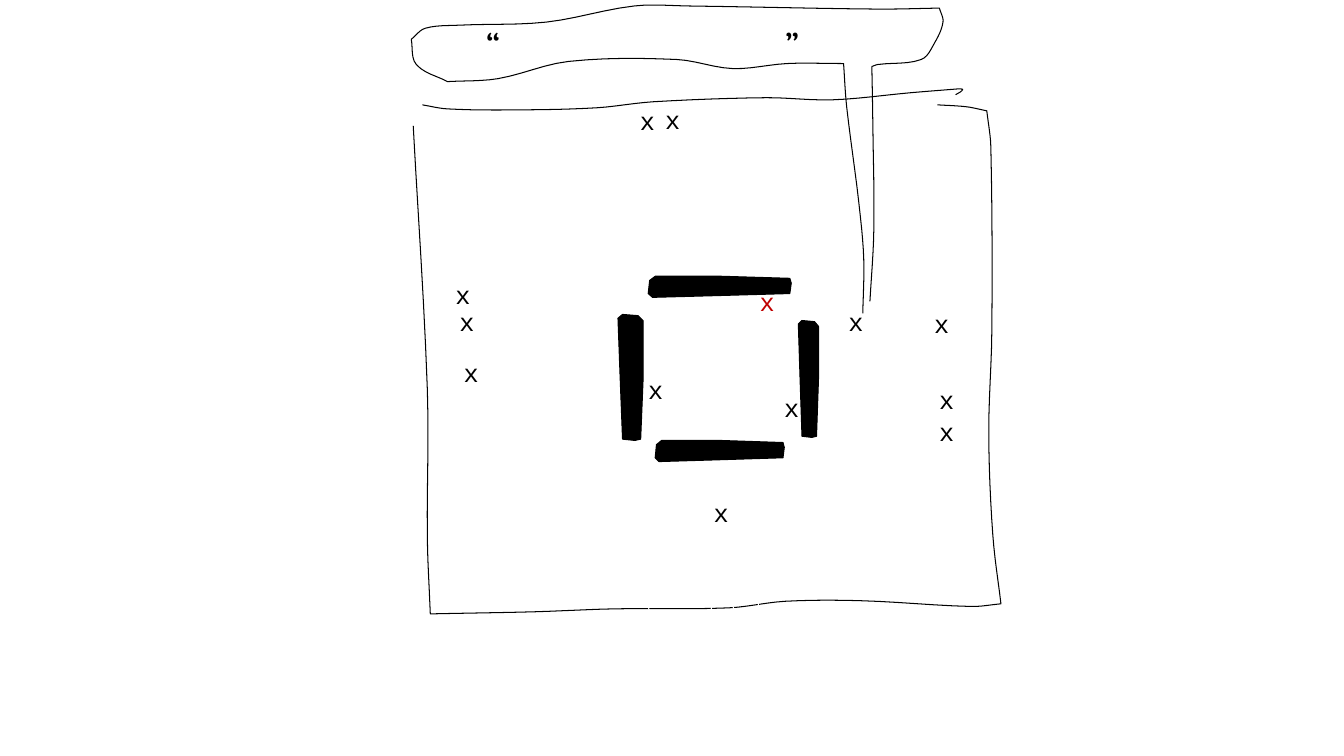
from dataclasses import dataclass
from itertools import chain, cycle
from math import dist

from lxml.etree import SubElement
from pptx import Presentation
from pptx.dml.color import RGBColor
from pptx.enum.text import MSO_AUTO_SIZE
from pptx.oxml.ns import qn
from pptx.util import Pt


@dataclass(frozen=True)
class Theme:
    ink: RGBColor = RGBColor(0x00, 0x00, 0x00)
    paper: RGBColor = RGBColor(0xFF, 0xFF, 0xFF)
    accent: RGBColor = RGBColor(0xC0, 0x00, 0x00)
    mark_font: str = "Courier New"
    quote_font: str = "Cambria"
    mark_size: float = 18
    quote_size: float = 28
    line_width: float = 0.75


THEME = Theme()
STEPS_PER_BEND = 6

# Hand-drawn strokes: a few knots in points, which smooth() joins by a curve.
# Where one stroke of a drawing ends and the next begins, there is a corner.
CEILING = {
    "hook": [(682.6, 67.7), (687.6, 64.1), (685.4, 63.4)],
    "edge": [(685.4, 63.4), (650.9, 66.2), (594.7, 71.3), (547.2, 69.8),
             (466.6, 72.7), (426.2, 77), (370.1, 78.5), (319.7, 77.8),
             (301.7, 74.9)],
}
ROOM = {
    "left wall": [(295.2, 90), (305.3, 278.6), (305.3, 384.5), (307.4, 438.5)],
    "floor": [(307.4, 438.5), (381.6, 437), (439.2, 434.9), (520.6, 434.2),
              (560.9, 429.5), (614.9, 429.1), (694, 433.2), (715, 431.3)],
    "right wall": [(715, 431.3), (709.2, 382.3), (706.3, 309.6),
                   (708.5, 236.2), (707.8, 105.1), (704.9, 79.2)],
    "top corner": [(704.9, 79.2), (690.5, 76.3), (669.6, 74.9)],
}
SPEECH_BUBBLE = {
    "tail, right": [(621.4, 215.3), (624.2, 164.2), (623.5, 89.3), (622.8, 47.5)],
    "right end": [(622.8, 47.5), (627.1, 46.1), (658.1, 42.5), (667.4, 31),
                  (673.6, 15.8), (671, 5.8)],
    "top": [(671, 5.8), (627.1, 6.5), (492.5, 4.3), (452.9, 4.3), (390.2, 15.8),
            (328.3, 18), (303.8, 20.2), (293.8, 28.1)],
    "left end": [(293.8, 28.1), (297.4, 46.1), (319.7, 58.3)],
    "bottom": [(319.7, 58.3), (355.7, 56.2), (406.1, 43.9), (483.1, 42.5),
               (523.4, 49), (562.3, 45.4), (602.6, 45.4)],
    "tail, left": [(602.6, 45.4), (604.8, 76.3), (613.4, 144), (617, 185),
                   (616.3, 223.9)],
}

# Tapered bar, in shares of its length and thickness
BAR_PROFILE = [(0.05, 0), (0.5, 0), (0.99, 0.1), (1, 0.33), (0.99, 0.82),
               (0.47, 0.92), (0.03, 1), (0, 0.82), (0.01, 0.2)]

# Each bar: left, top, length, thickness, rotation
BARS = {
    "top": (463, 197.3, 102.2, 15.1, 0),
    "bottom": (468, 314.6, 92.2, 15.1, 0),
    "right": (535.7, 263.5, 83.5, 14.4, 90),
    "left": (405.4, 260.6, 90, 18, 90),
}

# Left and top of each mark, by its place in the room
MARKS = {
    "ceiling": [(450, 72), (468, 71.3)],
    "left wall": [(318.2, 195.8), (321.1, 215.3), (324, 252)],
    "right wall": [(660.2, 216.7), (663.8, 270.7), (663.8, 293.8)],
    "inside the bars": [(455.8, 264.2), (553, 276.5)],
    "outside the bars": [(599, 215.3), (502.6, 351.4)],
}
ACCENT_MARK = (535.5, 200.9)
MARK_BOX = (35.3, 28.8)

# Eraser passes: where they cut the floor, how far they reach and lean
FLOOR_GAPS = [463, 508.6, 523.6, 541.4]
ERASER_TOP, ERASER_BOTTOM, ERASER_LEAN = 408.2, 457.9, 7

QUOTE_BOX = (339.8, 10.8, 324, 41)
CLOSING_QUOTE_TAB = 213.8


def set_values(target, values):
    for name, value in values.items():
        setattr(target, name, value)


def smooth(knots):
    """Join the knots by Hermite curves whose pull equals the knot distance."""
    directions = []
    for before, after in zip(knots[:1] + knots, knots[1:] + knots[-1:]):
        span = dist(before, after)
        directions.append([(b - a) / span for a, b in zip(before, after)])
    points = [knots[0]]
    for index, (start, end) in enumerate(zip(knots, knots[1:])):
        pull = dist(start, end)
        for step in range(1, STEPS_PER_BEND + 1):
            t = step / STEPS_PER_BEND
            blend = t * t * (3 - 2 * t)
            leave, arrive = pull * t * (1 - t) ** 2, pull * t * t * (t - 1)
            points.append(tuple(
                a + (b - a) * blend + leave * out + arrive * into
                for a, b, out, into in zip(
                    start, end, directions[index], directions[index + 1])))
    return points


def eraser_passes():
    """Sweep down and up in turn, leaning across each gap."""
    sweeps = cycle([(ERASER_TOP, ERASER_BOTTOM), (ERASER_BOTTOM, ERASER_TOP)])
    return [
        point
        for gap, (enter, leave) in zip(FLOOR_GAPS, sweeps)
        for point in ((gap - ERASER_LEAN, enter), (gap + ERASER_LEAN, leave))
    ]


def add_outline(slide, points, line, fill=None, close=False):
    start, *rest = [(Pt(x), Pt(y)) for x, y in points]
    builder = slide.shapes.build_freeform(*start)
    builder.add_line_segments(rest, close=close)
    shape = builder.convert_to_shape()
    shape.shadow.inherit = False
    shape.line.color.rgb = line
    shape.line.width = Pt(THEME.line_width)
    if fill is None:
        shape.fill.background()
    else:
        shape.fill.solid()
        shape.fill.fore_color.rgb = fill
    return shape


def add_drawing(slide, strokes, fill=None):
    points = list(chain.from_iterable(map(smooth, strokes.values())))
    add_outline(slide, points, THEME.ink, fill)


def add_bar(slide, left, top, length, thickness, rotation):
    points = [(left + x * length, top + y * thickness) for x, y in BAR_PROFILE]
    bar = add_outline(slide, points, THEME.ink, THEME.ink, close=True)
    bar.rotation = rotation


def add_text(slide, text, place, font, size, color):
    box = slide.shapes.add_textbox(*map(Pt, place))
    set_values(box.text_frame, {
        "word_wrap": True, "auto_size": MSO_AUTO_SIZE.SHAPE_TO_FIT_TEXT,
    })
    para = box.text_frame.paragraphs[0]
    span = para.add_run()
    span.text = text
    set_values(span.font, {"name": font, "size": Pt(size)})
    span.font.color.rgb = color
    return para


def add_mark(slide, position, color):
    add_text(slide, "x", position + MARK_BOX,
             THEME.mark_font, THEME.mark_size, color)


def add_tab_stop(para, position):
    stops = SubElement(para._p.get_or_add_pPr(), qn("a:tabLst"))
    SubElement(stops, qn("a:tab"), pos=str(Pt(position)), algn="l")


def main():
    deck = Presentation()
    set_values(deck, {"slide_width": Pt(960), "slide_height": Pt(540)})
    page = deck.slides.add_slide(deck.slide_layouts[6])

    # Room, bars and the breaks in the floor
    add_drawing(page, CEILING)
    add_drawing(page, ROOM, THEME.paper)
    for bar in BARS.values():
        add_bar(page, *bar)
    add_outline(page, eraser_passes(), THEME.paper)

    # Marks in the room
    add_mark(page, ACCENT_MARK, THEME.accent)
    for position in chain.from_iterable(MARKS.values()):
        add_mark(page, position, THEME.ink)

    # Speech bubble with an empty quotation
    add_drawing(page, SPEECH_BUBBLE)
    quote = add_text(page, "“\t”", QUOTE_BOX,
                     THEME.quote_font, THEME.quote_size, THEME.ink)
    add_tab_stop(quote, CLOSING_QUOTE_TAB)

    deck.save("out.pptx")


if __name__ == "__main__":
    main()
